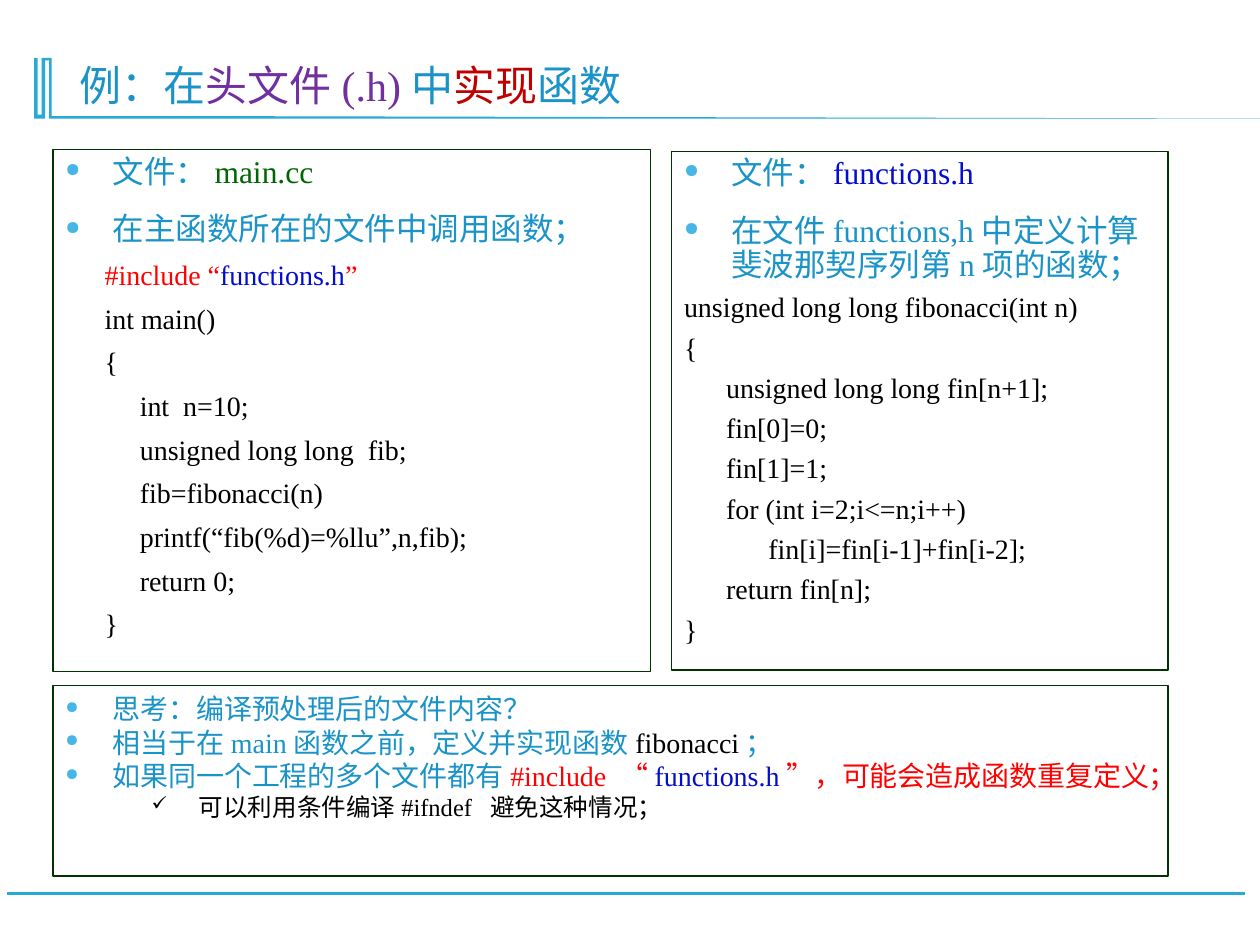
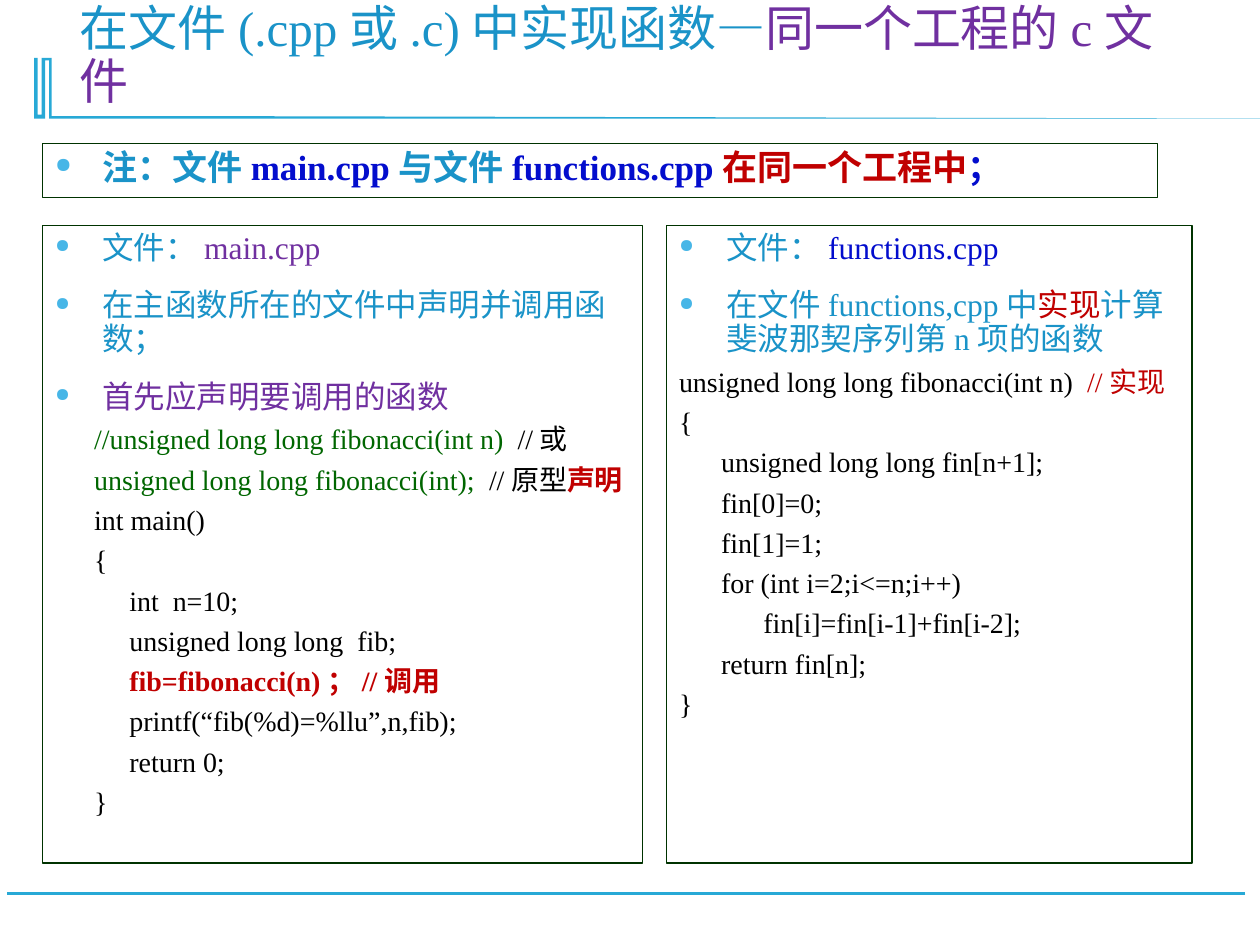
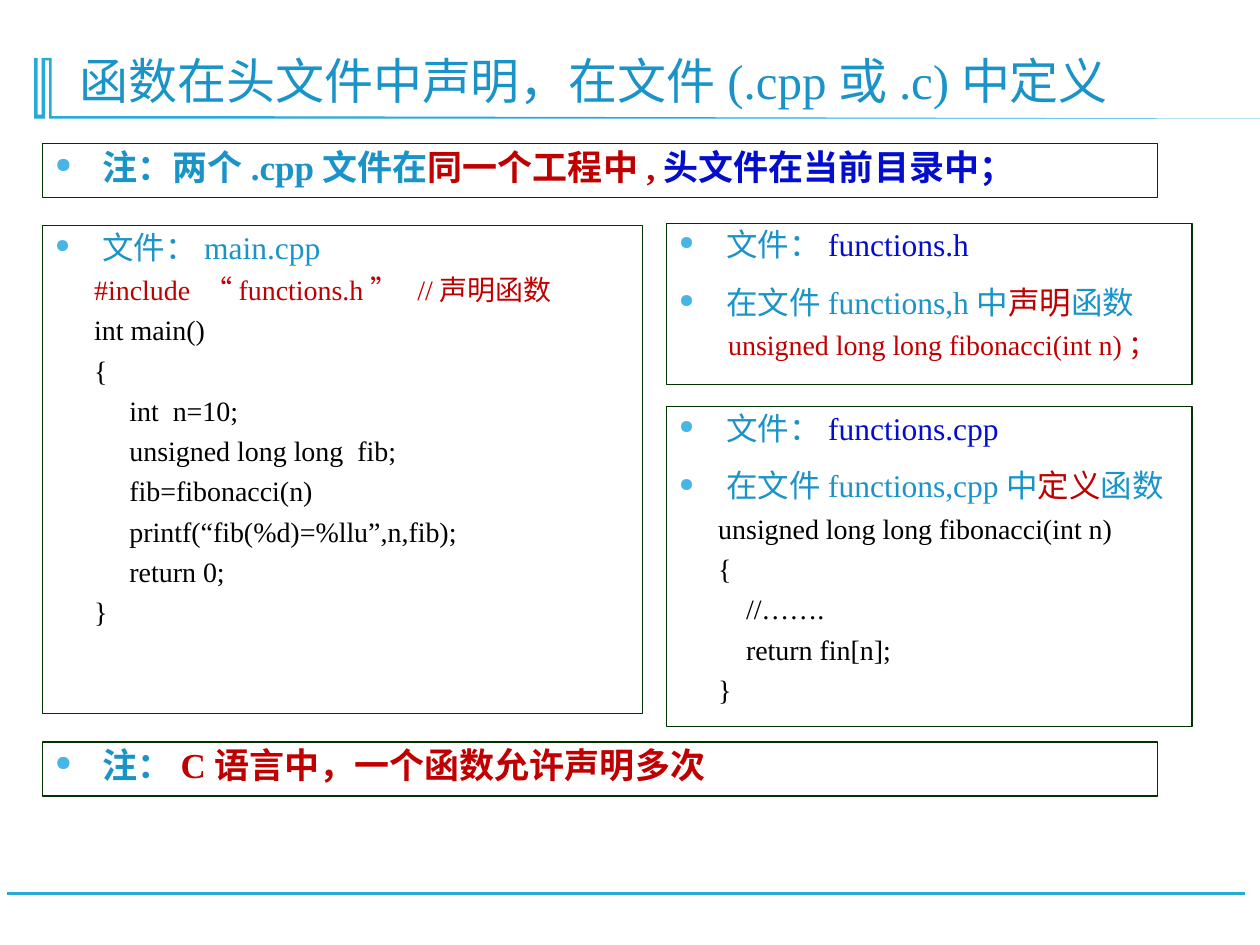
from lxml import etree
from pptx import Presentation
from pptx import util as u
from pptx.dml.color import RGBColor
from pptx.enum import shapes, text
from pptx.oxml.ns import qn

FONT = "Times New Roman"
SKY = RGBColor(0x28, 0xA9, 0xD6)
BLUE = RGBColor(0x1A, 0x93, 0xC8)
DOT = RGBColor(0x47, 0xB6, 0xE7)
NAVY = RGBColor(0x03, 0x0D, 0xCD)
PURPLE = RGBColor(0x70, 0x30, 0xA0)
CRIMSON = RGBColor(0xC0, 0x00, 0x00)
RED = RGBColor(0xFF, 0x00, 0x00)
GREEN = RGBColor(0x00, 0x66, 0x00)
FRAME = RGBColor(0x00, 0x33, 0x00)
BLACK = RGBColor(0x00, 0x00, 0x00)

# Paragraph formats; margin and hanging are in centimetres.
POINT = dict(size=18, color=BLUE, spacing=0.9, before=13.5, margin=0.95,
             hanging=0.95, bullet="●")
NOTE = dict(POINT, size=20, bold=True)
THOUGHT = dict(POINT, size=16, spacing=1.0, before=0)
REMEDY = dict(size=14, color=BLACK, margin=2.69, hanging=0.95, bullet="✓",
              bullet_color=BLACK, bullet_size=80)
CODE = dict(size=16, color=BLACK)

# Rule of the header: hundredths of a centimetre.
HEADER_RULE = [(104, 117), (104, 234), (356, 234), (2563, 239), (99, 239),
               (99, 122), (91, 122), (91, 239), (69, 239), (69, 117),
               (76, 117), (76, 231), (84, 231), (84, 117)]


def points(*rows):
    return [(POINT, row) for row in rows]


def code(*rows, margin=0.79, step=0.71, spacing=1.2):
    """Code lines, each a depth and then its runs."""
    return [(dict(CODE, margin=margin + depth * step, spacing=spacing), runs)
            for depth, *runs in rows]


def main_function(call="fib=fibonacci(n)"):
    return [(0, "int main()"), (0, "{"), (1, "int  n=10;"),
            (1, "unsigned long long  fib;"), (1, call),
            (1, "printf(“fib(%d)=%llu”,n,fib);"), (1, "return 0;"), (0, "}")]


SIGNATURE = "unsigned long long fibonacci(int n)"
FIBONACCI_BODY = [(0, "{"), (1, "unsigned long long fin[n+1];"),
                  (1, "fin[0]=0;"), (1, "fin[1]=1;"),
                  (1, "for (int i=2;i<=n;i++)"),
                  (2, "fin[i]=fin[i-1]+fin[i-2];"),
                  (1, "return fin[n];"), (0, "}")]

LEFT, RIGHT, TOP = 0.86, 13.44, 4.55
LEFT_W, RIGHT_W, WIDE = 12.09, 10.59, 22.48
NOTE_TOP, NOTE_H = 2.9, 1.09

# Runs are text, or (text, colour) or (text, colour, bold).
# Panels are (left, top, width, height) in centimetres and paragraphs.
SLIDES = [
    dict(
        title=["例：在", ("头文件(.h)", PURPLE), "中", ("实现", CRIMSON), "函数"],
        title_size=24, title_spacing=1.0,
        panels=[
            ((13.54, 3.05, 10.01, 10.46),
             points(["文件：", ("functions.h", NAVY)],
                    ["在文件functions,h中定义计算斐波那契序列第n项的函数；"])
             + code((0, SIGNATURE), *FIBONACCI_BODY, margin=0, step=0.85)),
            ((1.07, 3.02, 12.04, 10.52),
             points(["文件：", ("main.cc", GREEN)],
                    ["在主函数所在的文件中调用函数；"])
             + code((0, ("#include “", RED), ("functions.h", NAVY), ("”", RED)),
                    *main_function(), spacing=1.3)),
            ((1.07, 13.82, WIDE, 3.84),
             [(THOUGHT, ["思考：编译预处理后的文件内容？"]),
              (THOUGHT, ["相当于在main函数之前，定义并实现函数",
                         ("fibonacci", BLACK), "；"]),
              (THOUGHT, ["如果同一个工程的多个文件都有", ("#include “", RED),
                         ("functions.h", NAVY),
                         ("”，可能会造成函数重复定义；", RED)]),
              (REMEDY, ["可以利用条件编译#ifndef  避免这种情况；"])]),
        ]),
    dict(
        title=["在文件(.cpp或.c)中实现函数—", ("同一个工程的c文件", PURPLE)],
        panels=[
            ((RIGHT, TOP, RIGHT_W, 12.85),
             points(["文件：", ("functions.cpp", NAVY)],
                    ["在文件functions,cpp中", ("实现", CRIMSON),
                     "计算斐波那契序列第n项的函数"])
             + code((0, SIGNATURE + "  ", ("//实现", CRIMSON)),
                    *FIBONACCI_BODY, margin=0, step=0.85)),
            ((LEFT, TOP, LEFT_W, 12.85),
             points(["文件：", ("main.cpp", PURPLE)],
                    ["在主函数所在的文件中声明并调用函数；"],
                    [("首先应声明要调用的函数", PURPLE)])
             + code((0, ("//" + SIGNATURE + "  ", GREEN), "//或"),
                    (0, ("unsigned long long fibonacci(int);  ", GREEN),
                     "//原型", ("声明", CRIMSON, True)),
                    *main_function(("fib=fibonacci(n)；//调用", CRIMSON, True)))),
            ((LEFT, NOTE_TOP, WIDE, NOTE_H),
             [(NOTE, ["注：文件", ("main.cpp", NAVY), "与文件",
                      ("functions.cpp", NAVY), ("在同一个工程中", CRIMSON),
                      ("；", NAVY)])]),
        ]),
    dict(
        title=["函数在头文件中声明，在文件(.cpp或.c)中定义"],
        panels=[
            ((RIGHT, 8.2, RIGHT_W, 6.45),
             points(["文件：", ("functions.cpp", NAVY)],
                    ["在文件functions,cpp中", ("定义", CRIMSON), "函数"])
             + code((0, SIGNATURE), (0, "{"), (1, "//……."),
                    (1, "return fin[n];"), (0, "}"), step=0.56)),
            ((LEFT, TOP, LEFT_W, 9.83),
             points(["文件：main.cpp"])
             + code((0, ("#include “functions.h”  //声明函数", CRIMSON)),
                    *main_function())),
            ((LEFT, NOTE_TOP, WIDE, NOTE_H),
             [(NOTE, ["注：两个.cpp文件在", ("同一个工程中,", CRIMSON),
                      ("头文件在当前目录中；", NAVY)])]),
            ((RIGHT, 4.5, RIGHT_W, 3.25),
             points(["文件：", ("functions.h", NAVY)],
                    ["在文件functions,h中", ("声明", CRIMSON), "函数"])
             + code((0, (SIGNATURE + "；", CRIMSON)), margin=0.99)),
            ((LEFT, 14.96, WIDE, NOTE_H),
             [(NOTE, ["注：", ("C语言中，一个函数允许声明多次", CRIMSON)])]),
        ]),
]


def add_bullet(p, char, color, percent):
    pPr = p._p.get_or_add_pPr()
    fill = etree.SubElement(pPr, qn("a:buClr"))
    etree.SubElement(fill, qn("a:srgbClr"), val=str(color))
    etree.SubElement(pPr, qn("a:buSzPct"), val=str(percent * 1000))
    etree.SubElement(pPr, qn("a:buChar"), char=char)


def write(p, runs, size=18, color=BLUE, bold=False, spacing=1.0, before=0,
          margin=0, hanging=0, bullet=None, bullet_color=DOT, bullet_size=60):
    p.alignment = text.PP_ALIGN.LEFT
    p.line_spacing = spacing
    p.space_before = u.Pt(before)
    pPr = p._p.get_or_add_pPr()
    pPr.set("marL", str(u.Cm(margin)))
    pPr.set("indent", str(-u.Cm(hanging)))
    if bullet:
        add_bullet(p, bullet, bullet_color, bullet_size)
    for run in runs:
        words, *own = (run,) if isinstance(run, str) else run
        r = p.add_run()
        r.text = words
        r.font.name = FONT
        r.font.size = u.Pt(size)
        r.font.color.rgb = own[0] if own else color
        r.font.bold = own[1] if len(own) > 1 else bold


def add_panel(s, box, paragraphs):
    sp = s.shapes.add_shape(shapes.MSO_SHAPE.RECTANGLE, *map(u.Cm, box))
    sp.shadow.inherit = False
    sp.fill.background()
    sp.line.color.rgb = FRAME
    sp.line.width = u.Pt(0.75)
    tf = sp.text_frame
    tf.word_wrap = True
    tf.vertical_anchor = text.MSO_ANCHOR.TOP
    for i, (style, runs) in enumerate(paragraphs):
        write(tf.add_paragraph() if i else tf.paragraphs[0], runs, **style)


def prepare_layout(layout):
    for ph in list(layout.placeholders):
        if ph.placeholder_format.idx:
            ph.element.getparent().remove(ph.element)
    title = layout.placeholders[0]
    title.left, title.top, title.width, title.height = map(
        u.Cm, (1.35, 0.71, 22.48, 1.63))
    title.text_frame.vertical_anchor = text.MSO_ANCHOR.BOTTOM
    title.text_frame.auto_size = text.MSO_AUTO_SIZE.NONE


def move_bands_to_layout(s, layout):
    """Draw the header rule and footer line, then share them by the layout."""
    footer = s.shapes.add_connector(shapes.MSO_CONNECTOR.STRAIGHT, *map(
        u.Cm, (25.1, 18.01, 0.15, 18.01)))
    footer.line.color.rgb = SKY
    footer.line.width = u.Pt(1.25)
    etree.SubElement(footer.element.spPr, qn("a:effectLst"))

    builder = s.shapes.build_freeform(*HEADER_RULE[0], scale=u.Cm(0.01))
    builder.add_line_segments(HEADER_RULE[1:], close=True)
    header = builder.convert_to_shape()
    header.shadow.inherit = False
    header.fill.solid()
    header.fill.fore_color.rgb = SKY
    header.line.fill.background()

    for band in (footer, header):
        layout.shapes.element.append(band.element)


def main():
    prs = Presentation()
    prs.slide_width, prs.slide_height = u.Cm(25.4), u.Cm(19.05)
    layout = prs.slide_layouts[5]
    prepare_layout(layout)
    for i, content in enumerate(SLIDES):
        s = prs.slides.add_slide(layout)
        if i == 0:
            move_bands_to_layout(s, layout)
        write(s.shapes.title.text_frame.paragraphs[0], content["title"],
              size=content.get("title_size", 28),
              spacing=content.get("title_spacing", 0.9))
        for box, paragraphs in content["panels"]:
            add_panel(s, box, paragraphs)
    prs.save("out.pptx")


if __name__ == "__main__":
    main()
